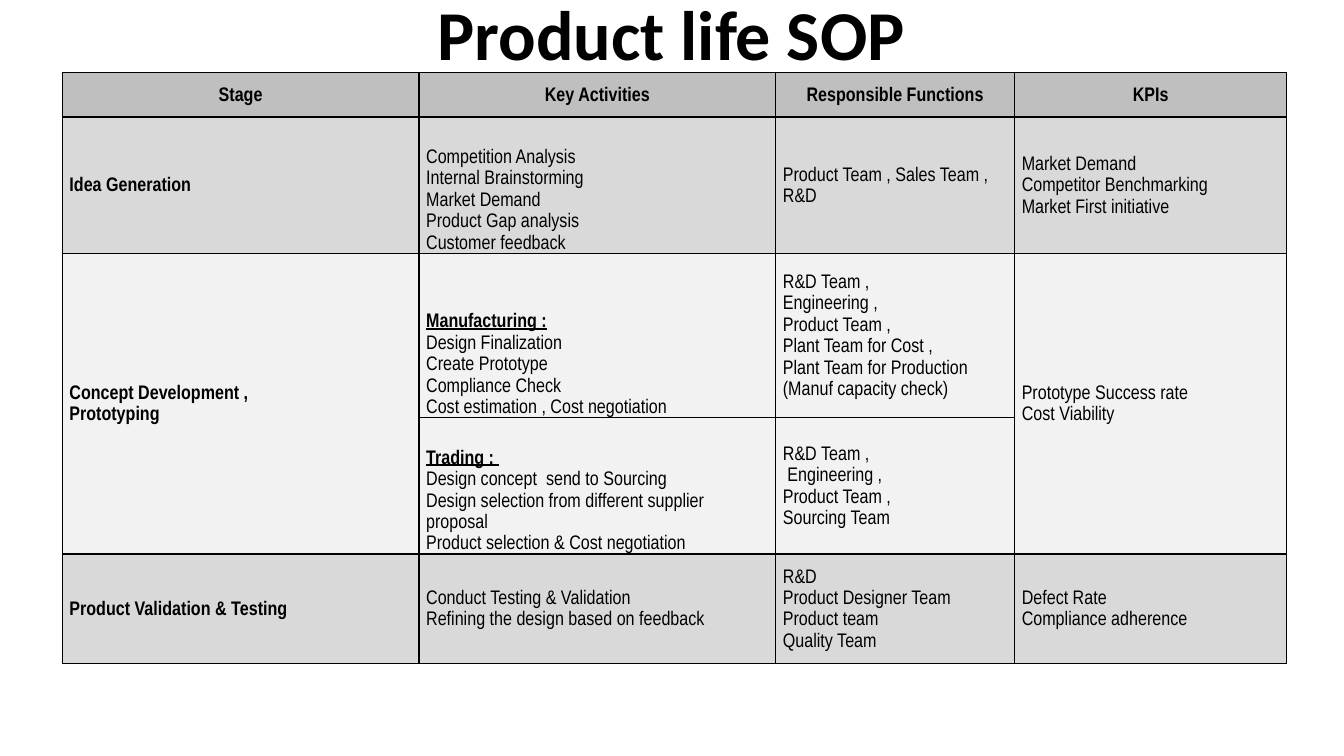
from lxml.etree import SubElement
from pptx import Presentation
from pptx.dml.color import RGBColor
from pptx.enum.text import MSO_ANCHOR as ANCHOR, MSO_AUTO_SIZE as AUTO, PP_ALIGN as ALIGN
from pptx.oxml.ns import qn
from pptx.util import Cm, Pt

BLACK = RGBColor(0x00, 0x00, 0x00)
HEADER_GREY = RGBColor(0xBF, 0xBF, 0xBF)
DARK_GREY = RGBColor(0xD9, 0xD9, 0xD9)
LIGHT_GREY = RGBColor(0xF2, 0xF2, 0xF2)

TEXT_SIZE = Pt(14)
COL_WIDTHS = (8.99, 8.99, 6.02, 6.86)
ROW_HEIGHTS = (1.12, 3.43, 4.14, 3.43, 2.74)
ROW_FILLS = (HEADER_GREY, DARK_GREY, LIGHT_GREY, LIGHT_GREY, DARK_GREY)
MERGED_COLS = (0, 3)
BOTTOM_CELLS = ((1, 1), (2, 1), (3, 1))
HEADED_CELLS = ((2, 1), (3, 1))

ROWS = (
    ("Stage", "Key Activities", "Responsible Functions", "KPIs"),
    ("Idea Generation",
     "Competition Analysis\nInternal Brainstorming\nMarket Demand\n"
     "Product Gap analysis\nCustomer feedback",
     "Product Team , Sales Team , R&D",
     "Market Demand\nCompetitor Benchmarking\nMarket First initiative"),
    ("Concept Development ,\nPrototyping",
     "Manufacturing :\nDesign Finalization\nCreate Prototype\n"
     "Compliance Check\nCost estimation , Cost negotiation",
     "R&D Team ,\nEngineering ,\nProduct Team ,\nPlant Team for Cost ,\n"
     "Plant Team for Production (Manuf capacity check)",
     "Prototype Success rate\nCost Viability"),
    ("",
     "Trading : \nDesign concept  send to Sourcing\n"
     "Design selection from different supplier proposal\n"
     "Product selection & Cost negotiation",
     "R&D Team ,\n Engineering ,\nProduct Team ,\nSourcing Team",
     ""),
    ("Product Validation & Testing",
     "Conduct Testing & Validation\nRefining the design based on feedback",
     "R&D\nProduct Designer Team\nProduct team\nQuality Team",
     "Defect Rate\nCompliance adherence"),
)


def format_run(r, font_name, size, bold):
    r.font.name = font_name
    r.font.size = size
    r.font.bold = bold
    r.font.color.rgb = BLACK


def add_title(s, text):
    title = s.shapes.title
    title.left, title.top, title.width, title.height = Cm(10.72), Cm(-0.38), Cm(12.4), Cm(2.39)
    tf = title.text_frame
    tf.text = text
    tf.word_wrap = False
    tf.auto_size = AUTO.SHAPE_TO_FIT_TEXT
    tf.vertical_anchor = ANCHOR.MIDDLE
    p = tf.paragraphs[0]
    p.alignment = ALIGN.CENTER
    format_run(p.runs[0], "Calibri", Pt(50), True)


def add_borders(cell):
    tc_pr = cell._tc.get_or_add_tcPr()
    for i, side in enumerate(("a:lnL", "a:lnR", "a:lnT", "a:lnB")):
        ln = tc_pr.makeelement(qn(side), {"w": str(Pt(1))})
        fill = SubElement(ln, qn("a:solidFill"))
        SubElement(fill, qn("a:srgbClr"), val=str(BLACK))
        tc_pr.insert(i, ln)


def fill_cell(cell, text, fill, anchor, align, bold, headed):
    cell.fill.solid()
    cell.fill.fore_color.rgb = fill
    add_borders(cell)
    cell.vertical_anchor = anchor
    cell.margin_left = cell.margin_right = Cm(0.18)
    cell.margin_top = cell.margin_bottom = 0
    p = cell.text_frame.paragraphs[0]
    p.text = text
    p.alignment = align
    p.line_spacing = 1.16
    p.space_after = Pt(8)
    for r in p.runs:
        format_run(r, "Arial Narrow", TEXT_SIZE, bold)
    if headed:
        p.runs[0].font.bold = p.runs[0].font.underline = True
    # Line breaks carry the text size too
    for br in p._p.findall(qn("a:br")):
        r_pr = SubElement(br, qn("a:rPr"), sz=str(int(TEXT_SIZE.pt * 100)))
        SubElement(r_pr, qn("a:latin"), typeface="Arial Narrow")


def add_stage_table(s):
    frame = s.shapes.add_table(len(ROWS), len(COL_WIDTHS), Cm(1.57), Cm(1.83),
                               Cm(sum(COL_WIDTHS)), Cm(sum(ROW_HEIGHTS)))
    table = frame.table
    for col, width in zip(table.columns, COL_WIDTHS):
        col.width = Cm(width)
    for row, height in zip(table.rows, ROW_HEIGHTS):
        row.height = Cm(height)
    for i, texts in enumerate(ROWS):
        for j, text in enumerate(texts):
            fill_cell(table.cell(i, j), text, ROW_FILLS[i],
                      anchor=ANCHOR.BOTTOM if (i, j) in BOTTOM_CELLS else ANCHOR.MIDDLE,
                      align=ALIGN.CENTER if i == 0 else ALIGN.LEFT,
                      bold=i == 0 or j == 0,
                      headed=(i, j) in HEADED_CELLS)
    # Concept development spans both the manufacturing and trading rows
    for j in MERGED_COLS:
        table.cell(2, j).merge(table.cell(3, j))


def main():
    prs = Presentation()
    prs.slide_width, prs.slide_height = Cm(33.87), Cm(19.05)
    s = prs.slides.add_slide(prs.slide_layouts[5])
    add_title(s, "Product life SOP")
    add_stage_table(s)
    prs.save("out.pptx")


if __name__ == "__main__":
    main()
